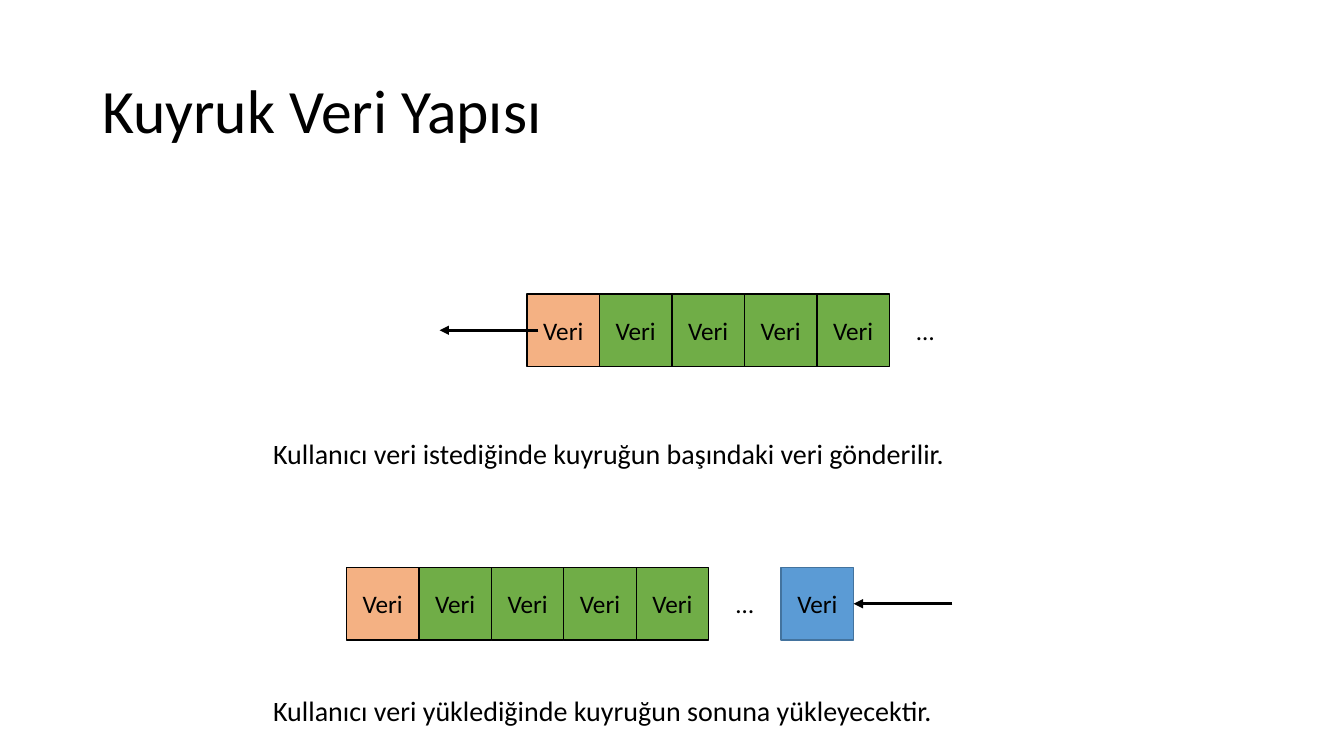
"""Build a slide on taking data from and adding data to a queue."""
import pptx
import pptx.dml.color
import pptx.enum.shapes
import pptx.enum.text
import pptx.oxml
import pptx.oxml.ns
import pptx.util

Pt = pptx.util.Pt
RGBColor = pptx.dml.color.RGBColor
MSO_ANCHOR = pptx.enum.text.MSO_ANCHOR

BLACK = RGBColor(0x00, 0x00, 0x00)
ORANGE = RGBColor(0xF4, 0xB1, 0x83)
GREEN = RGBColor(0x70, 0xAD, 0x47)
BLUE = RGBColor(0x5B, 0x9B, 0xD5)
DARK_BLUE = RGBColor(0x43, 0x73, 0x9E)
FONT = "Calibri"

TITLE = "Kuyruk Veri Yapısı"
CELL_TEXT = "Veri"
DOTS = "…"
CELL_FILLS = [ORANGE] + [GREEN] * 4
QUEUES = [
    {"left": 376.5, "top": 210, "caption_top": 308.2,
     "caption": "Kullanıcı veri istediğinde kuyruğun başındaki veri gönderilir.",
     "caption_width": 498},
    {"left": 247.5, "top": 405.4, "caption_top": 491.8,
     "caption": "Kullanıcı veri yüklediğinde kuyruğun sonuna yükleyecektir.",
     "caption_width": 487},
]
CELL = 51.75
CAPTION_LEFT = 188
ARROW_LENGTH = 70.5
ARROW_OVERLAP = 8


def style_text(text_frame, size):
    for paragraph in text_frame.paragraphs:
        for run in paragraph.runs:
            run.font.name = FONT
            run.font.size = Pt(size)
            run.font.color.rgb = BLACK


def add_text(slide, text, left, top, width, height, size):
    text_box = slide.shapes.add_textbox(Pt(left), Pt(top), Pt(width), Pt(height))
    text_frame = text_box.text_frame
    text_frame.text = text
    text_frame.word_wrap = False
    text_frame.auto_size = pptx.enum.text.MSO_AUTO_SIZE.SHAPE_TO_FIT_TEXT
    style_text(text_frame, size)
    return text_frame


def add_cell(slide, left, top, fill, line=BLACK):
    cell = slide.shapes.add_shape(
        pptx.enum.shapes.MSO_SHAPE.RECTANGLE, Pt(left), Pt(top), Pt(CELL), Pt(CELL))
    cell.shadow.inherit = False
    cell.fill.solid()
    cell.fill.fore_color.rgb = fill
    cell.line.color.rgb = line
    cell.line.width = Pt(1)
    cell.text_frame.text = CELL_TEXT
    cell.text_frame.vertical_anchor = MSO_ANCHOR.MIDDLE
    cell.text_frame.paragraphs[0].alignment = pptx.enum.text.PP_ALIGN.CENTER
    style_text(cell.text_frame, 18)
    return cell


def add_arrow(slide, start, y):
    arrow = slide.shapes.add_connector(
        pptx.enum.shapes.MSO_CONNECTOR.STRAIGHT,
        Pt(start), Pt(y), Pt(start - ARROW_LENGTH), Pt(y))
    arrow.line.color.rgb = BLACK
    arrow.line.width = Pt(2.25)
    head = pptx.oxml.parse_xml(
        f'<a:tailEnd {pptx.oxml.ns.nsdecls("a")} type="triangle"/>')
    arrow.line._get_or_add_ln().append(head)
    arrow._element.spPr.append(
        pptx.oxml.parse_xml(f'<a:effectLst {pptx.oxml.ns.nsdecls("a")}/>'))
    return arrow


def add_queue(slide, queue):
    left, top = queue["left"], queue["top"]
    for index, fill in enumerate(CELL_FILLS):
        add_cell(slide, left + index * CELL, top, fill)
    dots_left = left + len(CELL_FILLS) * CELL + 12.4
    add_text(slide, DOTS, dots_left, top + 11.5, 27, 29, 18)
    add_text(slide, queue["caption"], CAPTION_LEFT, queue["caption_top"],
             queue["caption_width"], 31.5, 20)


def main():
    presentation = pptx.Presentation()
    presentation.slide_width = Pt(960)
    presentation.slide_height = Pt(540)
    slide = presentation.slides.add_slide(presentation.slide_layouts[6])

    title = add_text(slide, TITLE, 66, 28.8, 828, 104.4, 44)
    title.word_wrap = True
    title.auto_size = pptx.enum.text.MSO_AUTO_SIZE.NONE
    title.vertical_anchor = MSO_ANCHOR.MIDDLE
    title.paragraphs[0].line_spacing = 0.9

    for queue in QUEUES:
        add_queue(slide, queue)

    removal, insertion = QUEUES
    add_arrow(slide, removal["left"] + ARROW_OVERLAP, removal["top"] + CELL / 2)

    new_left = insertion["left"] + (len(CELL_FILLS) + 1) * CELL
    new_cell = add_cell(slide, new_left, insertion["top"], BLUE, DARK_BLUE)
    arrow = add_arrow(slide, new_left + CELL + ARROW_LENGTH,
                      insertion["top"] + CELL / 2)
    arrow.end_connect(new_cell, 3)

    presentation.save("out.pptx")


if __name__ == "__main__":
    main()
